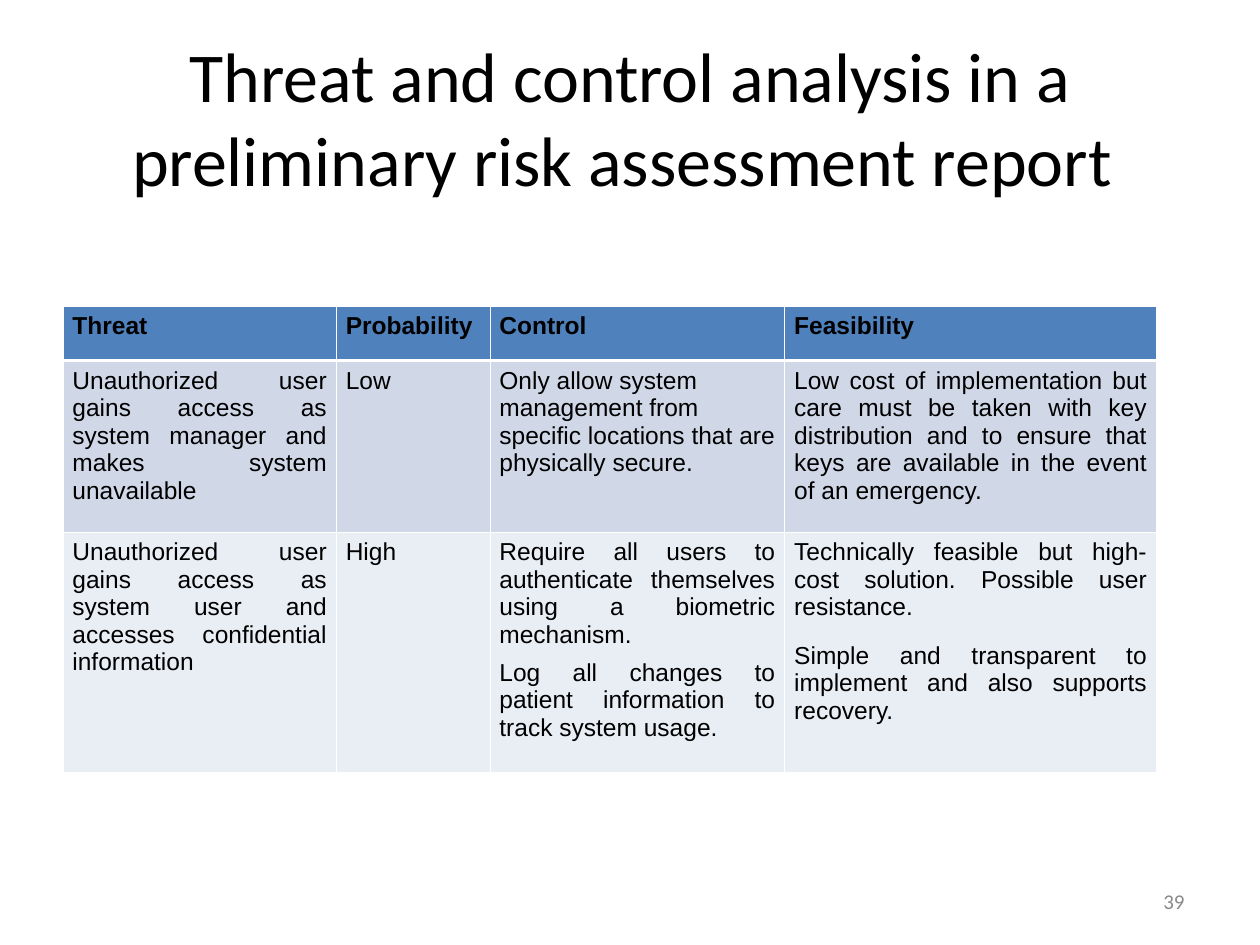
from lxml.etree import SubElement
from pptx import Presentation
from pptx.dml.color import RGBColor
from pptx.enum.text import MSO_ANCHOR as Anchor, PP_ALIGN as Align
from pptx.oxml.ns import qn
from pptx.util import Pt

BLACK = RGBColor(0x00, 0x00, 0x00)
WHITE = RGBColor(0xFF, 0xFF, 0xFF)
GREY = RGBColor(0x89, 0x89, 0x89)
HEADER_BLUE = RGBColor(0x4F, 0x81, 0xBD)
BAND_DARK = RGBColor(0xD0, 0xD8, 0xE8)
BAND_LIGHT = RGBColor(0xE9, 0xED, 0xF4)
ROW_FILLS = [HEADER_BLUE, BAND_DARK, BAND_LIGHT]

COLUMN_WIDTHS = [156.2, 87.8, 168.5, 212.4]
ROW_HEIGHTS = [31, 98, 137.5]
THIN, THICK = 0.45, 1.47

HEADINGS = ["Threat", "Probability", "Control", "Feasibility"]
TAKEOVER = [
    "Unauthorized user gains access as system manager and makes system unavailable",
    "Low",
    "Only allow system management from specific locations that are physically secure.",
    "Low cost of implementation but care must be taken with key distribution "
    "and to ensure that keys are available in the event of an emergency. ",
]
DISCLOSURE = [
    "Unauthorized user gains access as system user and accesses confidential information",
    "High",
    "Require all users to authenticate themselves using a biometric mechanism.",
    "Technically feasible but high-cost solution. Possible user resistance.",
]
LOGGING_CONTROL = "Log all changes to patient information to track system usage."
LOGGING_FEASIBILITY = "Simple and transparent to implement and also supports recovery."


def write(para, text, font="Arial", size=14, color=BLACK, bold=False,
          align=Align.JUSTIFY, before=0, after=0):
    para.alignment = align
    para.space_before = Pt(before)
    para.space_after = Pt(after)
    span = para.add_run()
    span.text = text
    span.font.name = font
    span.font.size = Pt(size)
    span.font.bold = bold
    span.font.color.rgb = color


class Report:
    def __init__(self, deck):
        self.heading_font = "Calibri"
        self.border_color = WHITE
        self.page = deck.slides.add_slide(deck.slide_layouts[6])

    def label(self, text, left, top, width, height, **style):
        box = self.page.shapes.add_textbox(Pt(left), Pt(top), Pt(width), Pt(height))
        frame = box.text_frame
        frame.word_wrap = True
        frame.vertical_anchor = Anchor.MIDDLE
        write(frame.paragraphs[0], text, font=self.heading_font, **style)

    def border(self, cell, side, width):
        line = SubElement(cell._tc.get_or_add_tcPr(), qn(f"a:ln{side}"), w=str(Pt(width)))
        fill = SubElement(line, qn("a:solidFill"))
        SubElement(fill, qn("a:srgbClr"), val=str(self.border_color))

    def table(self, left, top, widths, heights, fills):
        frame = self.page.shapes.add_table(
            len(heights), len(widths), Pt(left), Pt(top), Pt(sum(widths)), Pt(sum(heights)))
        table = frame.table
        for column, width in zip(table.columns, widths):
            column.width = Pt(width)
        for index, (row, height) in enumerate(zip(table.rows, heights)):
            row.height = Pt(height)
            for cell in row.cells:
                cell.margin_left = cell.margin_right = Pt(5.4)
                cell.margin_top = cell.margin_bottom = Pt(3.6)
                for side in "LRTB":
                    under_header = (index, side) in [(0, "B"), (1, "T")]
                    self.border(cell, side, THICK if under_header else THIN)
                cell.fill.solid()
                cell.fill.fore_color.rgb = fills[index]
        return table

    def fill_row(self, row, texts, **style):
        for cell, text in zip(row.cells, texts):
            write(cell.text_frame.paragraphs[0], text, **style)

    def add_paragraph(self, cell, text, **style):
        frame = cell.text_frame
        frame.paragraphs[0].space_after = Pt(6)
        write(frame.add_paragraph(), text, **style)


def main():
    deck = Presentation()
    deck.slide_width, deck.slide_height = Pt(720), Pt(540)
    report = Report(deck)
    report.label("Threat and control analysis in a preliminary risk assessment report ",
                 36, 21.6, 648, 90, size=40, align=Align.CENTER)

    table = report.table(36, 175, COLUMN_WIDTHS, ROW_HEIGHTS, ROW_FILLS)
    header, takeover, disclosure = table.rows
    report.fill_row(header, HEADINGS, bold=True, before=3, after=3)
    report.fill_row(takeover, TAKEOVER)
    takeover.cells[2].text_frame.paragraphs[0].alignment = Align.LEFT
    report.fill_row(disclosure, DISCLOSURE, before=6)
    report.add_paragraph(disclosure.cells[2], LOGGING_CONTROL)
    report.add_paragraph(disclosure.cells[3], LOGGING_FEASIBILITY, before=6)

    report.label("39", 516, 500.4, 168, 28.8, size=12, color=GREY, align=Align.RIGHT)
    deck.save("out.pptx")


if __name__ == "__main__":
    main()
